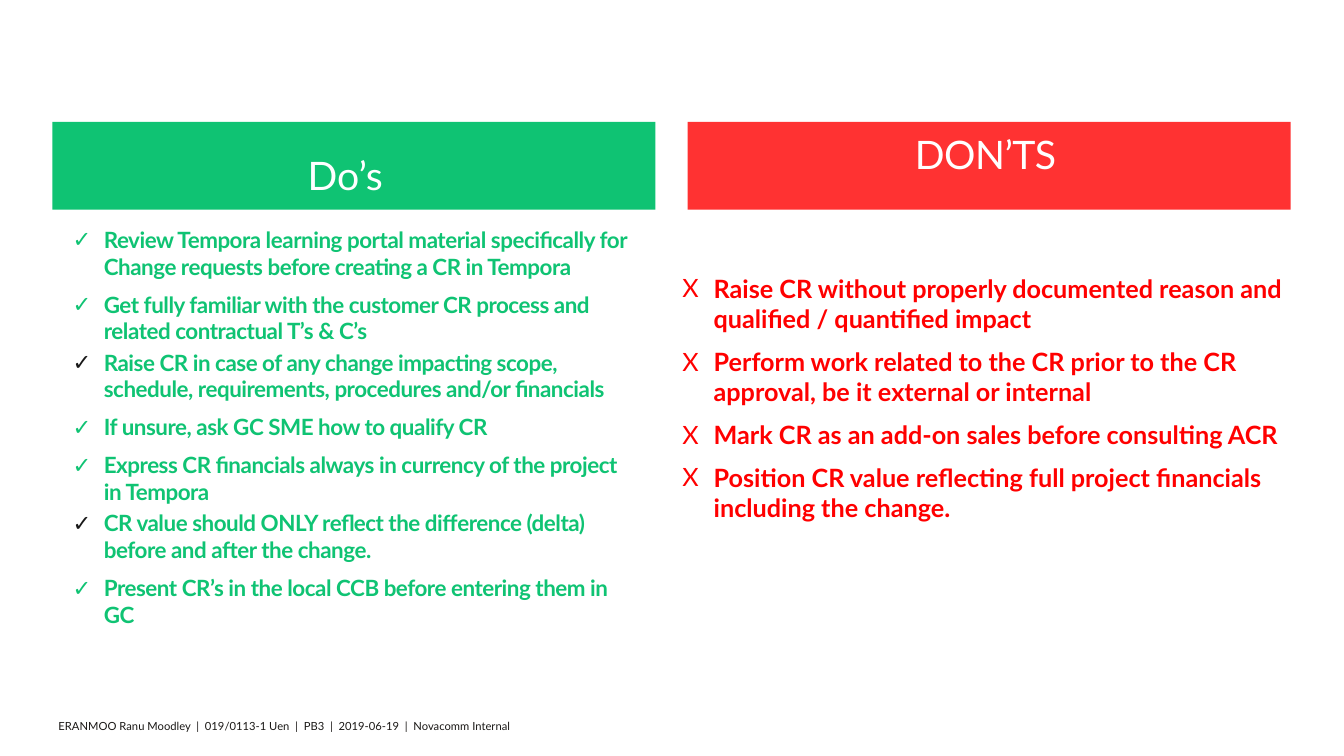
from lxml.etree import SubElement
from pptx import Presentation
from pptx.dml.color import RGBColor
from pptx.enum.shapes import MSO_SHAPE
from pptx.enum.text import MSO_ANCHOR, PP_ALIGN
from pptx.oxml.ns import qn
from pptx.util import Inches, Pt

COLORS = {"do": "0FC373", "dont": "FF3232", "warning": "FF0000",
          "ink": "1A1816", "tick": "181818", "white": "FFFFFF"}
LEFT, RIGHT, COLUMN, INDENT = 0.52, 6.82, 5.98, 0.31
BANNER_TOP, BANNER_HEIGHT = 1.21, 0.87

deck = Presentation()
deck.slide_width, deck.slide_height = Inches(13.33), Inches(7.5)
slide = deck.slides.add_slide(deck.slide_layouts[6])


def add_run(paragraph, text, size, color, bold=False, spacing=0, font="Lato"):
    run = paragraph.add_run()
    run.text = text
    run.font.name, run.font.size, run.font.bold = font, Pt(size), bold
    run.font.color.rgb = RGBColor.from_string(COLORS[color])
    if spacing:
        run.font._element.set("spc", str(spacing))


def add_text_frame(left, top, width, height, margins, wrap=True):
    frame = slide.shapes.add_textbox(*map(Inches, (left, top, width, height))).text_frame
    frame.word_wrap = wrap
    (frame.margin_left, frame.margin_top,
     frame.margin_right, frame.margin_bottom) = map(Inches, margins)
    return frame


footer = add_text_frame(0.58, 7.14, 10.79, 0.24, (0, 0, 0, 0), wrap=False)
add_run(footer.paragraphs[0],
        "ERANMOO Ranu Moodley  |  019/0113-1 Uen  |  PB3  |  2019-06-19  |  Novacomm Internal",
        8, "ink")

banners = []
for left, color in ((RIGHT, "dont"), (LEFT, "do")):
    banner = slide.shapes.add_shape(
        MSO_SHAPE.RECTANGLE, *map(Inches, (left, BANNER_TOP, COLUMN, BANNER_HEIGHT)))
    banner.shadow.inherit = False
    banner.fill.solid()
    banner.fill.fore_color.rgb = RGBColor.from_string(COLORS[color])
    banner.line.fill.background()
    banners.append(banner)

do_frame = banners[-1].text_frame
do_frame.vertical_anchor = MSO_ANCHOR.MIDDLE
do_frame.margin_left = do_frame.margin_right = Inches(0.08)
do_frame.margin_top = do_frame.margin_bottom = Inches(0.04)
do_title = do_frame.paragraphs[0]
do_title.alignment = PP_ALIGN.CENTER
add_run(do_title, "Do’s", 28, "white")
add_run(do_title, " ", 44, "white", bold=True, font="Arial")

dont_frame = add_text_frame(RIGHT, 1.09, COLUMN, 4.03, (0.2, 0.2, 0.2, 0.2))
dont_title = dont_frame.paragraphs[0]
dont_title.alignment = PP_ALIGN.CENTER
add_run(dont_title, "DON’TS", 28, "white", spacing=-30)
add_run(dont_title, " ", 20, "white", spacing=-30)

dos = [
    ("Review Tempora learning portal material specifically for Change requests "
     "before creating a CR in Tempora", "do"),
    ("Get fully familiar with the customer CR process and related contractual T’s & C’s", "do"),
    ("Raise CR in case of any change impacting scope, schedule, requirements, "
     "procedures and/or financials", "tick"),
    ("If unsure, ask GC SME how to qualify CR", "do"),
    ("Express CR financials always in currency of the project in Tempora", "do"),
    ("CR value should ONLY reflect the difference (delta) before and after the change.", "tick"),
    ("Present CR’s in the local CCB before entering them in GC", "do"),
]
donts = [(rule, "warning") for rule in (
    "Raise CR without properly documented reason and qualified / quantified impact",
    "Perform work related to the CR prior to the CR approval, be it external or internal",
    "Mark CR as an add-on sales before consulting ACR",
    "Position CR value reflecting full project financials including the change.",
)]
do_list = add_text_frame(LEFT, 0.97, COLUMN, 4.03, (0.2, 1.27, 0.2, 0.2))
dont_list = add_text_frame(6.67, 2.66, 6.67, 2.68, (0.1, 0.05, 0.1, 0.05))

for frame, rules, mark, size, color, spacing in (
        (do_list, dos, "✓", 16, "do", -30),
        (dont_list, donts, "X", 18, "warning", 0)):
    for index, (rule, mark_color) in enumerate(rules):
        paragraph = frame.add_paragraph() if index else frame.paragraphs[0]
        gap = 3 if mark_color == "tick" else size / 2
        paragraph.space_before = Pt(gap if index else 0)
        layout = paragraph._p.get_or_add_pPr()
        layout.set("marL", str(Inches(INDENT)))
        layout.set("indent", str(-Inches(INDENT)))
        SubElement(SubElement(layout, qn("a:buClr")), qn("a:srgbClr"), val=COLORS[mark_color])
        SubElement(layout, qn("a:buFont"), typeface="Lato")
        SubElement(layout, qn("a:buChar"), char=mark)
        add_run(paragraph, rule, size, color, bold=True, spacing=spacing)

deck.save("out.pptx")
